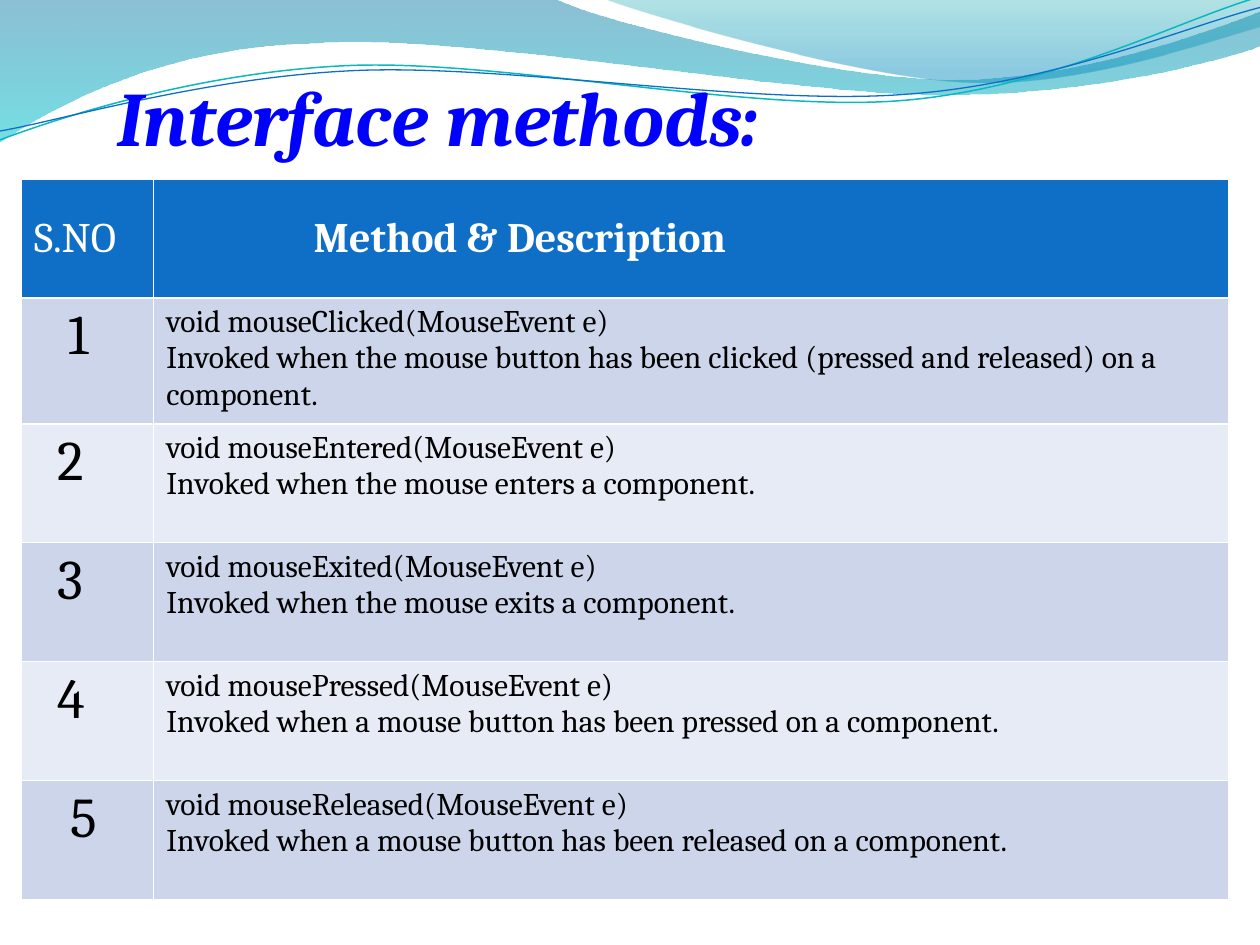
from math import cos, radians, sin

from lxml.etree import SubElement
from pptx import Presentation
from pptx.dml.color import RGBColor
from pptx.enum.text import MSO_ANCHOR, MSO_AUTO_SIZE, PP_ALIGN
from pptx.oxml.ns import qn
from pptx.util import Inches, Pt

FONT = "Cambria"
BLUE, WHITE, BLACK = "0F6FC6", "FFFFFF", "000000"
BANDS = ("CCD5EA", "E7EBF5")
LINE_TILT = -2.7

# Outlines in inches: a pair is a straight step, six numbers a Bezier curve
TOP_WAVE = [
    (0, 0), (4.4, -0.01), (4.76, 0.17, 6.64, 0.63, 7.58, 0.63),
    (8.53, 0.63, 9.58, 0.26, 10, 0.09), (10.01, 0.36),
    (9.83, 0.44, 8.7, 0.76, 7.46, 0.75), (6.22, 0.75, 3.82, 0.28, 2.57, 0.34),
    (1.29, 0.36, 0.46, 0.83, -0.01, 1.13), (0, 0),
]
RIGHT_WAVE = [
    (4.79, -0.01), (5.09, 0.11, 6.82, 0.62, 7.69, 0.65),
    (8.56, 0.69, 9.61, 0.32, 10, 0.21), (10, 0), (4.79, -0.01),
]
TEAL_LINE = [
    (0, 1.11), (0.48, 0.93, 1.58, 0.57, 2.77, 0.52),
    (3.95, 0.47, 5.93, 0.89, 7.13, 0.8), (8.33, 0.71, 9.38, 0.15, 9.98, -0.02),
]
BLUE_LINE = [
    (0, 1.04), (0.47, 0.96, 1.64, 0.61, 2.83, 0.56),
    (4.03, 0.51, 5.97, 0.84, 7.17, 0.75), (8.36, 0.67, 9.41, 0.21, 10, 0.06),
]

# Number, its indent in inches, method, description
METHODS = [
    ("1", 0.27, "void mouseClicked(MouseEvent e)",
     "Invoked when the mouse button has been clicked (pressed and released) on a component."),
    ("2", 0.19, "void mouseEntered(MouseEvent e)",
     "Invoked when the mouse enters a component."),
    ("3", 0.19, "void mouseExited(MouseEvent e)",
     "Invoked when the mouse exits a component."),
    ("4", 0.19, "void mousePressed(MouseEvent e)",
     "Invoked when a mouse button has been pressed on a component."),
    ("5", 0.29, "void mouseReleased(MouseEvent e)",
     "Invoked when a mouse button has been released on a component."),
]


def color(hex_code):
    return RGBColor.from_string(hex_code)


def step_points(step):
    return list(zip(step[::2], step[1::2]))


def turn(point, center, degrees):
    angle = radians(degrees)
    x, y = point[0] - center[0], point[1] - center[1]
    return (center[0] + x * cos(angle) - y * sin(angle),
            center[1] + x * sin(angle) + y * cos(angle))


def add_outline(slide, outline, tilt=0, center=(0, 0)):
    """Draw an outline, joining each curve's three points into one Bezier."""
    points = [turn(p, center, -tilt) for step in outline for p in step_points(step)]
    start, *rest = [(Inches(x), Inches(y)) for x, y in points]
    builder = slide.shapes.build_freeform(*start)
    builder.add_line_segments(rest, close=False)
    shape = builder.convert_to_shape()
    shape.rotation = tilt
    shape.shadow.inherit = False

    segments = iter(list(shape._element.iter(qn("a:lnTo"))))
    for step in outline[1:]:
        segment = next(segments)
        if len(step) == 6:
            curve = segment.makeelement(qn("a:cubicBezTo"), {})
            segment.addprevious(curve)
            for part in (segment, next(segments), next(segments)):
                curve.append(part[0])
                part.getparent().remove(part)
    return shape


def add_wave(slide, outline, stops):
    """Draw a filled wave; stops are (percent, colour, opacity percent)."""
    wave = add_outline(slide, outline)
    wave.line.fill.background()
    wave.fill.gradient()
    wave.fill.gradient_angle = 270
    stop_list = wave._element.spPr.find(qn("a:gradFill")).find(qn("a:gsLst"))
    stop_list.clear()
    for position, hex_code, opacity in stops:
        stop = SubElement(stop_list, qn("a:gs"), pos=str(position * 1000))
        tint = SubElement(stop, qn("a:srgbClr"), val=hex_code)
        SubElement(tint, qn("a:alpha"), val=str(opacity * 1000))


def add_wave_line(slide, outline, center, hex_code, width):
    line = add_outline(slide, outline, LINE_TILT, center)
    line.fill.background()
    line.line.color.rgb = color(hex_code)
    line.line.width = Pt(width)


def add_run(paragraph, text, size, hex_code, bold=False, italic=False):
    run = paragraph.add_run()
    run.text = text
    run.font.name = FONT
    run.font.size = Pt(size)
    run.font.bold = bold
    run.font.italic = italic
    run.font.color.rgb = color(hex_code)


def place_title(slide, text):
    title = slide.shapes.title
    title.left, title.top, title.width, title.height = map(Inches, (0.83, 0.5, 8, 1.58))
    frame = title.text_frame
    frame.auto_size = MSO_AUTO_SIZE.NONE
    frame.vertical_anchor = MSO_ANCHOR.TOP
    frame.paragraphs[0].alignment = PP_ALIGN.LEFT
    add_run(frame.paragraphs[0], text, 44, "0000FF", bold=True, italic=True)
    slide.shapes._spTree.append(title._element)  # in front of the waves


def add_borders(cell):
    properties = cell._tc.get_or_add_tcPr()
    for i, side in enumerate("LRTB"):
        border = properties.makeelement(qn(f"a:ln{side}"), {"w": str(Pt(1))})
        fill = SubElement(border, qn("a:solidFill"))
        SubElement(fill, qn("a:srgbClr"), val=WHITE)
        properties.insert(i, border)


def fill_cell(cell, lines, size, text_color, fill, indent=0, bold=False,
              anchor=MSO_ANCHOR.TOP):
    cell.fill.solid()
    cell.fill.fore_color.rgb = color(fill)
    cell.margin_left = Inches(0.1 + indent)
    cell.vertical_anchor = anchor
    add_borders(cell)
    frame = cell.text_frame
    for i, line in enumerate(lines):
        paragraph = frame.add_paragraph() if i else frame.paragraphs[0]
        add_run(paragraph, line, size, text_color, bold)


def add_methods_table(slide):
    row_count = len(METHODS) + 1
    height, wrapped_height = Inches(5.72), Inches(1)
    table = slide.shapes.add_table(row_count, 2, Inches(0.17), Inches(1.42),
                                   Inches(9.58), height).table
    table.columns[0].width = Inches(1.05)
    table.columns[1].width = Inches(8.53)
    for row in table.rows:
        row.height = (height - wrapped_height) // (row_count - 1)
    table.rows[1].height = wrapped_height  # its description takes two lines

    # Header row
    middle = MSO_ANCHOR.MIDDLE
    fill_cell(table.cell(0, 0), ["S.NO"], 24, WHITE, BLUE, anchor=middle)
    fill_cell(table.cell(0, 1), ["Method & Description"], 24, WHITE, BLUE,
              indent=1.17, bold=True, anchor=middle)

    # One banded row per method
    for row, (number, indent, method, description) in enumerate(METHODS, start=1):
        band = BANDS[(row - 1) % 2]
        fill_cell(table.cell(row, 0), [number], 32, BLACK, band, indent)
        fill_cell(table.cell(row, 1), [method, description], 18, BLACK, band)


def main():
    deck = Presentation()
    deck.slide_width, deck.slide_height = Inches(10), Inches(7.5)
    slide = deck.slides.add_slide(deck.slide_layouts[5])

    # Wave decoration along the top
    add_wave(slide, TOP_WAVE, [(0, "0074A1", 45), (100, "00C6CF", 55)])
    add_wave(slide, RIGHT_WAVE, [(0, "00A1A9", 30), (80, "008BBF", 45)])
    add_wave_line(slide, TEAL_LINE, (4.99, 0.58), "0AB8BF", 0.85)
    add_wave_line(slide, BLUE_LINE, (5, 0.59), BLUE, 0.75)

    place_title(slide, "Interface methods:")
    add_methods_table(slide)
    deck.save("out.pptx")


if __name__ == "__main__":
    main()
